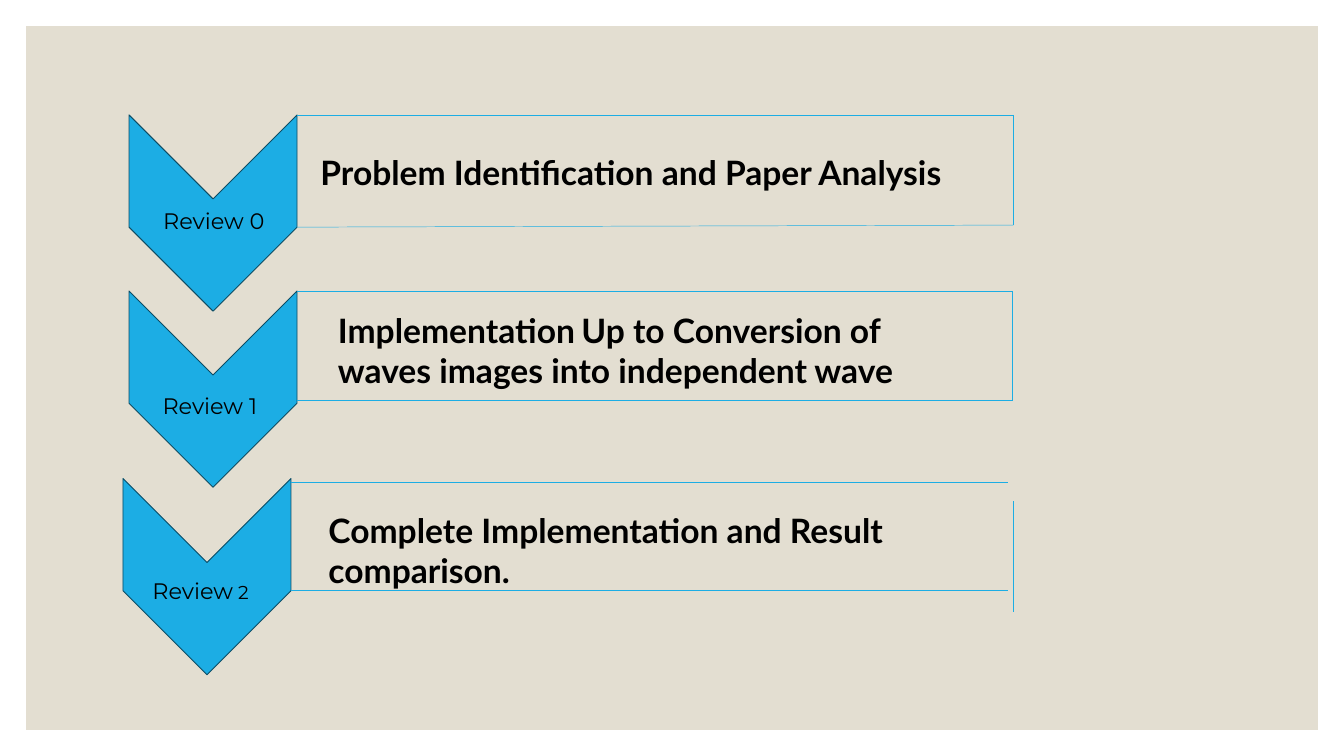
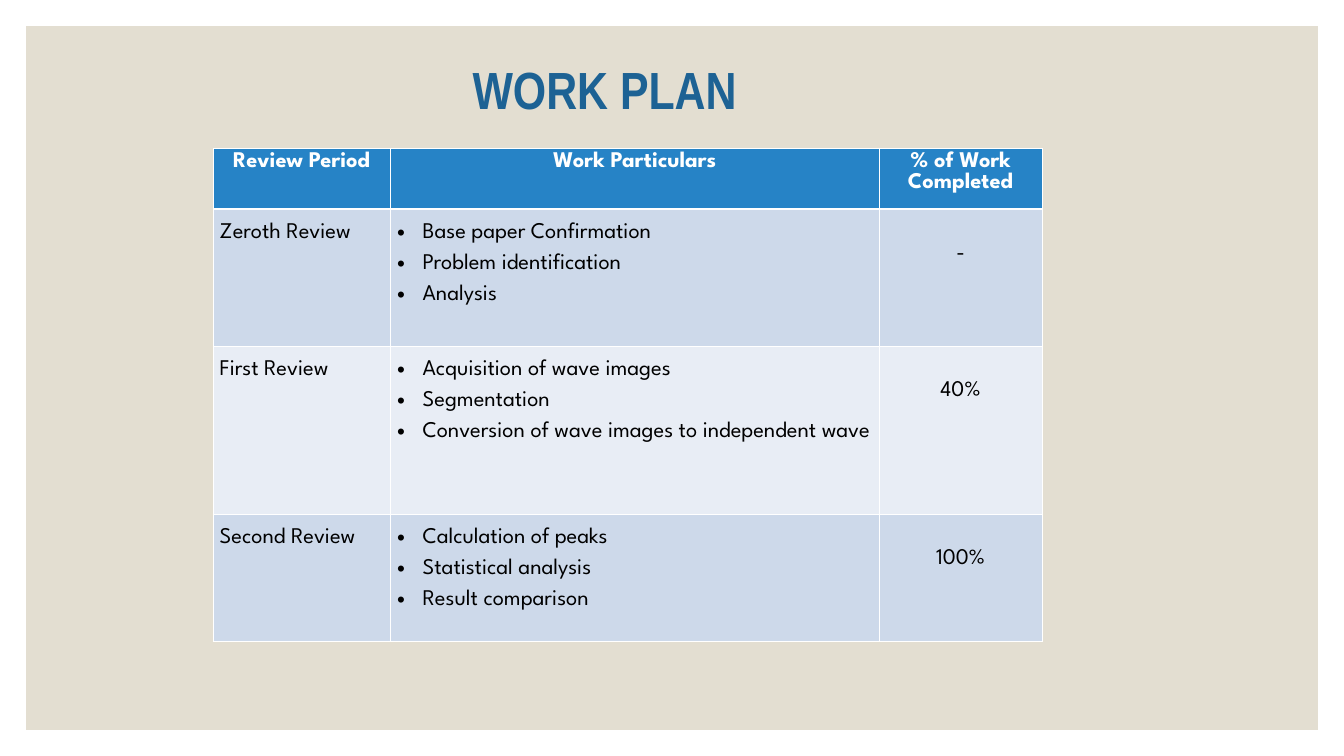
from lxml import etree
from pptx import Presentation
from pptx import util as u
from pptx.dml.color import RGBColor
from pptx.enum import shapes, text
from pptx.oxml import ns

SAND = RGBColor(0xE3, 0xDE, 0xD1)
SKY = RGBColor(0x1C, 0xAD, 0xE4)
NAVY = RGBColor(0x0C, 0x4C, 0x64)
TITLE_BLUE = RGBColor(0x1D, 0x62, 0x94)
HEADER_BLUE = RGBColor(0x26, 0x83, 0xC6)
BAND_DARK = RGBColor(0xCD, 0xD9, 0xEA)
BAND_LIGHT = RGBColor(0xE8, 0xED, 0xF5)
BLACK = RGBColor(0, 0, 0)
WHITE = RGBColor(0xFF, 0xFF, 0xFF)

WIDTH, HEIGHT, MARGIN = 20, 11.25, 0.39
CHEVRON_LENGTH, CHEVRON_SPAN = 2.92, 2.5

# Places of labels, headings and lines are relative to the chevron's top left corner.
REVIEWS = [
    dict(corner=(1.92, 1.71),
         label=(0.41, 1.33, 1.92), label_spans=[("Review 0", 24)],
         heading=(2.75, 0.5, 9.58, 0.71),
         heading_spans=[("Problem Identification and Paper Analysis", 36)],
         rules=[(2.5, 0, 13.16, 0), (2.5, 1.67, 13.16, 1.64), (13.16, 0, 13.16, 1.64)]),
    dict(corner=(1.92, 4.33),
         label=(0.4, 1.46, 2.08), label_spans=[("Review 1", 24)],
         heading=(3.01, 0.23, 9.33, 1.31),
         heading_spans=[("Implementation", 36), (" ", 28),
                        ("Up to Conversion of waves images into independent wave", 36)],
         rules=[(2.5, 0, 13.16, 0), (2.5, 1.63, 13.16, 1.63), (13.15, 0, 13.15, 1.63)]),
    dict(corner=(1.83, 7.12),
         label=(0.34, 1.42, 1.88), label_spans=[("Review", 24), (" 2", 20)],
         heading=(2.96, 0.42, 9.33, 1.31),
         heading_spans=[("Complete Implementation and Result comparison.", 36)],
         rules=[(2.5, 0.06, 13.17, 0.06), (2.5, 1.67, 13.17, 1.67), (13.25, 0.34, 13.25, 1.98)]),
]

TABLE_BOX = (3.17, 2.21)
COLUMNS = [2.64, 7.27, 2.43]
ROWS = [0.88, 2.04, 2.5, 1.89]
HEADERS = ["Review Period", "Work Particulars", "% of Work Completed"]
PLAN = [
    ("Zeroth Review",
     ["Base paper Confirmation", "Problem identification", "Analysis"], "-"),
    ("First Review",
     ["Acquisition of wave images", "Segmentation",
      "Conversion of wave images to independent wave"], "40%"),
    ("Second Review",
     ["Calculation of peaks", "Statistical analysis", "Result comparison"], "100%"),
]


def inches(*lengths):
    return [u.Inches(length) for length in lengths]


def style_span(span, font, size, color, bold=False):
    span.font.name = font
    span.font.size = u.Pt(size)
    span.font.color.rgb = color
    span.font.bold = bold


def add_page(deck):
    page = deck.slides.add_slide(deck.slide_layouts[6])
    panel = page.shapes.add_shape(
        shapes.MSO_SHAPE.RECTANGLE,
        *inches(MARGIN, MARGIN, WIDTH - 2 * MARGIN, HEIGHT - 2 * MARGIN))
    panel.shadow.inherit = False
    panel.fill.solid()
    panel.fill.fore_color.rgb = SAND
    panel.line.fill.background()
    return page


def add_text(page, place, spans, font, color, bold=False):
    """Add a one-paragraph text box from (wording, size) spans."""
    box = page.shapes.add_textbox(*inches(*place))
    box.text_frame.word_wrap = True
    box.text_frame.auto_size = text.MSO_AUTO_SIZE.SHAPE_TO_FIT_TEXT
    para = box.text_frame.paragraphs[0]
    for wording, size in spans:
        span = para.add_run()
        span.text = wording
        style_span(span, font, size, color, bold)
    return box


def add_rule(page, x1, y1, x2, y2):
    rule = page.shapes.add_connector(
        shapes.MSO_CONNECTOR.STRAIGHT, *inches(x1, y1, x2, y2))
    rule.line.color.rgb = SKY
    rule.line.width = u.Pt(0.5)
    etree.SubElement(rule._element.spPr, ns.qn("a:effectLst"))


def add_chevron(page, left, top):
    """Add a chevron turned to point down, with its visible corner at left, top."""
    shift = (CHEVRON_LENGTH - CHEVRON_SPAN) / 2
    chevron = page.shapes.add_shape(
        shapes.MSO_SHAPE.CHEVRON,
        *inches(left - shift, top + shift, CHEVRON_LENGTH, CHEVRON_SPAN))
    chevron.rotation = 90
    chevron.shadow.inherit = False
    chevron.fill.solid()
    chevron.fill.fore_color.rgb = SKY
    chevron.line.color.rgb = NAVY
    chevron.line.width = u.Pt(1)


def add_review(page, corner, label, label_spans, heading, heading_spans, rules):
    left, top = corner
    add_chevron(page, left, top)
    x, y, width = label
    add_text(page, (left + x, top + y, width, 0.5), label_spans, "Montserrat", BLACK)
    x, y, width, height = heading
    add_text(page, (left + x, top + y, width, height), heading_spans, "Lato", BLACK, True)
    for x1, y1, x2, y2 in rules:
        add_rule(page, left + x1, top + y1, left + x2, top + y2)


def add_title(page, place, wording):
    box = add_text(page, place, [(wording, 56)], "Arial Narrow", TITLE_BLUE, True)
    frame = box.text_frame
    frame.margin_left = frame.margin_top = frame.margin_right = frame.margin_bottom = 0
    para = frame.paragraphs[0]
    para.alignment = text.PP_ALIGN.CENTER
    para.line_spacing = u.Pt(77.3)
    outline = etree.Element(ns.qn("a:ln"), w=str(u.Pt(0.75)))
    fill = etree.SubElement(outline, ns.qn("a:solidFill"))
    etree.SubElement(fill, ns.qn("a:srgbClr"), val=str(WHITE))
    para.runs[0].font._element.insert(0, outline)


def add_bullet(para):
    properties = para._p.get_or_add_pPr()
    indent = u.Inches(0.38)
    properties.set("marL", str(indent))
    properties.set("indent", str(-indent))
    etree.SubElement(properties, ns.qn("a:buFont"), typeface="Arial")
    etree.SubElement(properties, ns.qn("a:buChar"), char="•")


def set_borders(cell, top_width, bottom_width):
    properties = cell._tc.get_or_add_tcPr()
    widths = dict(lnL=1, lnR=1, lnT=top_width, lnB=bottom_width)
    for position, (side, width) in enumerate(widths.items()):
        border = etree.Element(ns.qn("a:" + side), w=str(u.Pt(width)))
        fill = etree.SubElement(border, ns.qn("a:solidFill"))
        etree.SubElement(fill, ns.qn("a:srgbClr"), val=str(WHITE))
        properties.insert(position, border)


def fill_cell(cell, lines, fill, color, header=False, centred=False, bulleted=False):
    cell.fill.solid()
    cell.fill.fore_color.rgb = fill
    cell.text_frame.text = "\n".join(lines)
    for para in cell.text_frame.paragraphs:
        if centred:
            para.alignment = text.PP_ALIGN.CENTER
        if not header:
            para.line_spacing = 1.5
        if bulleted:
            add_bullet(para)
        style_span(para.runs[0], "League Spartan", 24, color, header)


def add_plan_table(page, left, top):
    frame = page.shapes.add_table(
        len(ROWS), len(COLUMNS), *inches(left, top, sum(COLUMNS), sum(ROWS)))
    table = frame.table
    table.horz_banding = False
    for column, width in zip(table.columns, COLUMNS):
        column.width = u.Inches(width)
    for row, height in zip(table.rows, ROWS):
        row.height = u.Inches(height)

    for column, wording in enumerate(HEADERS):
        fill_cell(table.cell(0, column), [wording], HEADER_BLUE, WHITE,
                  header=True, centred=True)
    for row, (period, particulars, share) in enumerate(PLAN, start=1):
        band = BAND_DARK if row % 2 else BAND_LIGHT
        fill_cell(table.cell(row, 0), [period], band, BLACK)
        fill_cell(table.cell(row, 1), particulars, band, BLACK, bulleted=True)
        fill_cell(table.cell(row, 2), [share], band, BLACK, centred=True)
        table.cell(row, 2).margin_top = u.Inches(0.36)

    for row in range(len(ROWS)):
        for column in range(len(COLUMNS)):
            set_borders(table.cell(row, column),
                        top_width=3 if row == 1 else 1,
                        bottom_width=3 if row == 0 else 1)


def build_reviews_page(deck):
    page = add_page(deck)
    for review in REVIEWS:
        add_review(page, **review)


def build_plan_page(deck):
    page = add_page(deck)
    add_title(page, (4.13, 0.71, 9.74, 2.11), "WORK PLAN")
    add_plan_table(page, *TABLE_BOX)


def main():
    deck = Presentation()
    deck.slide_width, deck.slide_height = inches(WIDTH, HEIGHT)
    build_reviews_page(deck)
    build_plan_page(deck)
    deck.save("out.pptx")


if __name__ == "__main__":
    main()
